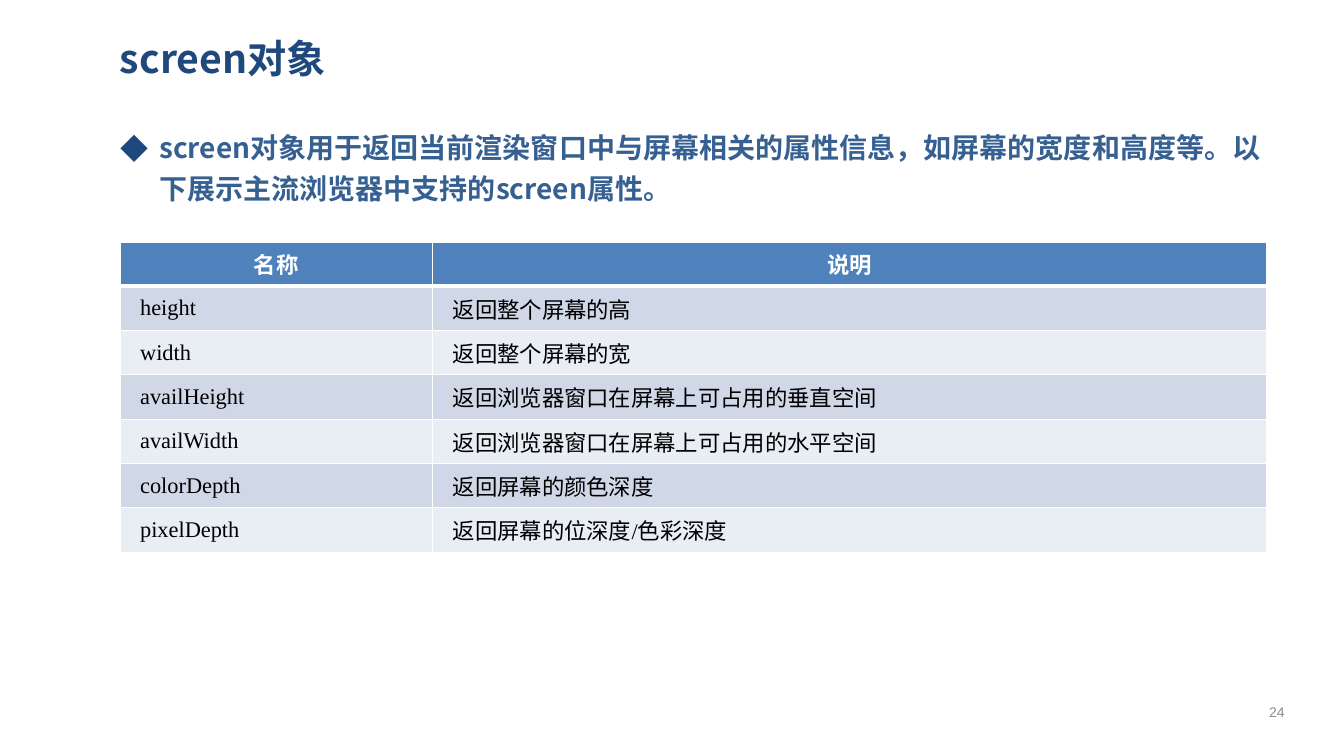
from lxml import etree
from pptx import Presentation
from pptx.dml.color import RGBColor
from pptx.enum.text import MSO_ANCHOR, MSO_AUTO_SIZE, PP_ALIGN
from pptx.oxml.ns import qn
from pptx.util import Inches, Pt

TITLE = "screen对象"
SUMMARY = ("screen对象用于返回当前渲染窗口中与屏幕相关的属性信息，如屏幕的宽度和高度等。"
           "以下展示主流浏览器中支持的screen属性。")
PAGE_NUMBER = "24"
PROPERTIES = [
    ("名称", "说明"),
    ("height", "返回整个屏幕的高"),
    ("width", "返回整个屏幕的宽"),
    ("availHeight", "返回浏览器窗口在屏幕上可占用的垂直空间"),
    ("availWidth", "返回浏览器窗口在屏幕上可占用的水平空间"),
    ("colorDepth", "返回屏幕的颜色深度"),
    ("pixelDepth", "返回屏幕的位深度/色彩深度"),
]
COLUMN_WIDTHS = (3.1, 8.27)
ROW_HEIGHT = 0.44

NAVY = RGBColor(0x1F, 0x49, 0x7D)
BLUE = RGBColor(0x37, 0x60, 0x92)
HEADER_BLUE = RGBColor(0x4F, 0x81, 0xBD)
BANDS = (RGBColor(0xE9, 0xED, 0xF4), RGBColor(0xD0, 0xD8, 0xE8))
GREY = RGBColor(0x8C, 0x8C, 0x8C)
WHITE = RGBColor(0xFF, 0xFF, 0xFF)
BLACK = RGBColor(0, 0, 0)

CJK_FONT = "Noto Sans CJK SC"
LEFT, CENTER, JUSTIFY = PP_ALIGN.LEFT, PP_ALIGN.CENTER, PP_ALIGN.JUSTIFY
TOP, MIDDLE = MSO_ANCHOR.TOP, MSO_ANCHOR.MIDDLE

TITLE_FORMAT = {"name": CJK_FONT, "size": Pt(28), "bold": True}
SUMMARY_FORMAT = {"name": CJK_FONT, "size": Pt(20), "bold": True}
NUMBER_FORMAT = {"name": "Arial", "size": Pt(10), "bold": False}
HEADER_FORMAT = {"name": "Arial", "size": Pt(16), "bold": True}
CELL_FORMAT = {"name": "Times New Roman", "size": Pt(16), "bold": False}


def write(frame, text, values, color, align):
    para = frame.paragraphs[0]
    para.alignment = align
    span = para.add_run()
    span.text = text
    for name, value in values.items():
        setattr(span.font, name, value)
    span.font.color.rgb = color
    east_asian = etree.SubElement(span.font._element, qn("a:ea"))
    east_asian.set("typeface", CJK_FONT)
    return para


def place(box, left, top, width, height, anchor):
    box.left, box.top = Inches(left), Inches(top)
    box.width, box.height = Inches(width), Inches(height)
    frame = box.text_frame
    frame.word_wrap = True
    frame.auto_size = MSO_AUTO_SIZE.NONE
    frame.vertical_anchor = anchor
    frame.margin_left = frame.margin_right = Inches(0.09)
    frame.margin_top = frame.margin_bottom = Inches(0.04)
    return frame


def indent(para, margin, first_line):
    properties = para._p.get_or_add_pPr()
    properties.set("marL", str(Inches(margin)))
    properties.set("indent", str(Inches(first_line)))
    return properties


def add_color(parent, color):
    fill = etree.SubElement(parent, qn("a:solidFill"))
    etree.SubElement(fill, qn("a:srgbClr")).set("val", str(color))


def add_diamond_bullet(para):
    properties = indent(para, 0.38, -0.38)
    bullet_color = etree.SubElement(properties, qn("a:buClr"))
    etree.SubElement(bullet_color, qn("a:srgbClr")).set("val", str(NAVY))
    etree.SubElement(properties, qn("a:buFont")).set("typeface", CJK_FONT)
    etree.SubElement(properties, qn("a:buChar")).set("char", "◆")


def add_borders(cell, row):
    """White lines, thicker between the header and the first row."""
    widths = {"L": 1, "R": 1, "T": 3 if row == 1 else 1, "B": 3 if row == 0 else 1}
    for side, width in widths.items():
        line = etree.SubElement(cell._tc.get_or_add_tcPr(), qn(f"a:ln{side}"))
        line.set("w", str(Pt(width)))
        add_color(line, WHITE)


def add_property_table(page):
    row_count = len(PROPERTIES)
    table = page.shapes.add_table(
        row_count, len(COLUMN_WIDTHS), Inches(1.19), Inches(2.4),
        Inches(sum(COLUMN_WIDTHS)), Inches(ROW_HEIGHT * row_count)).table
    for column, width in zip(table.columns, COLUMN_WIDTHS):
        column.width = Inches(width)
    for row, texts in enumerate(PROPERTIES):
        table.rows[row].height = Inches(ROW_HEIGHT)
        for column, text in enumerate(texts):
            cell = table.cell(row, column)
            cell.vertical_anchor = MIDDLE
            cell.margin_left = cell.margin_right = Inches(0.08)
            cell.margin_top = cell.margin_bottom = 0
            add_borders(cell, row)
            cell.fill.solid()
            if row == 0:
                cell.fill.fore_color.rgb = HEADER_BLUE
                write(cell.text_frame, text, HEADER_FORMAT, WHITE, CENTER)
            else:
                cell.fill.fore_color.rgb = BANDS[row % 2]
                para = write(cell.text_frame, text, CELL_FORMAT, BLACK, JUSTIFY)
                indent(para, 0.12, 0)


def main():
    deck = Presentation()
    deck.slide_width, deck.slide_height = Inches(13.33), Inches(7.5)
    page = deck.slides.add_slide(deck.slide_layouts[1])

    frame = place(page.shapes.title, 1.1, 0.24, 11.65, 0.67, MIDDLE)
    write(frame, TITLE, TITLE_FORMAT, NAVY, LEFT)

    frame = place(page.placeholders[1], 1.11, 1.19, 11.65, 5.68, TOP)
    add_diamond_bullet(frame.paragraphs[0])
    para = write(frame, SUMMARY, SUMMARY_FORMAT, BLUE, LEFT)
    para.line_spacing = 1.2
    para.space_before = 0

    add_property_table(page)

    number_box = page.shapes.add_textbox(0, 0, 0, 0)
    frame = place(number_box, 12.34, 6.86, 0.65, 0.4, MIDDLE)
    write(frame, PAGE_NUMBER, NUMBER_FORMAT, GREY, CENTER)

    deck.save("out.pptx")


if __name__ == "__main__":
    main()
